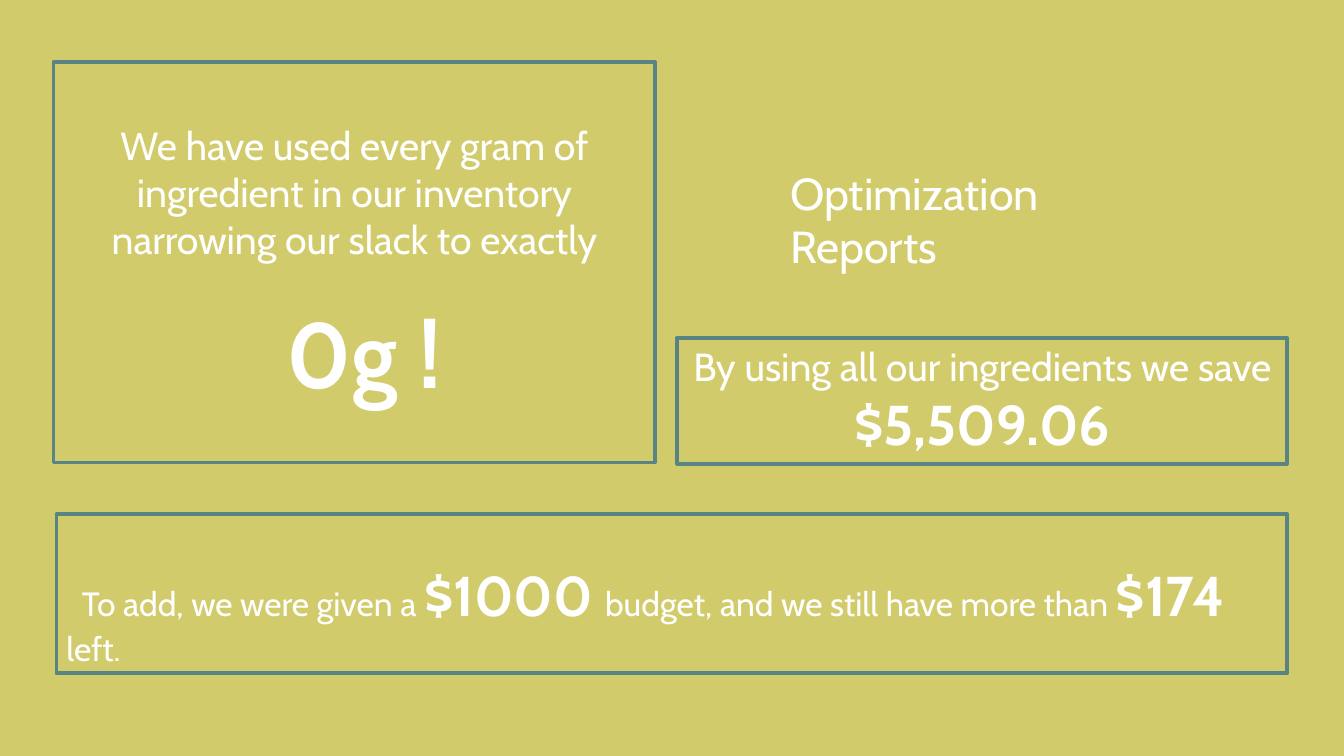
from pptx import Presentation
from pptx.dml.color import RGBColor
from pptx.enum import shapes, text
from pptx.util import Pt

COLORS = {"background": "D2CB6C", "border": "588484", "text": "FFFFFF"}
FONT = "Cabin"
LEFT, CENTER = text.PP_ALIGN.LEFT, text.PP_ALIGN.CENTER

BUDGET = [
    {"align": LEFT, "indent": 11, "spans": [
        ("To add, we were given a ", 24, False),
        ("$1000 ", 40, True),
        ("budget, and we still have more than ", 24, False),
        ("$174 ", 40, True),
        ("left.", 24, False),
    ]},
]
SLACK = [
    {"align": CENTER, "spans": [
        ("We have used every gram of ingredient in our inventory "
         "narrowing our slack to exactly", 28, False),
    ]},
    {"align": CENTER, "before": 24, "margin": 14, "spans": [("0g !", 66, True)]},
]
TITLE = [{"align": LEFT, "spans": [("Optimization Reports", 32, False)]}]
SAVINGS = [
    {"align": CENTER, "spans": [
        ("By using all our ingredients we save ", 28, False),
        ("$5,509.06", 40, True),
    ]},
]

PANELS = [
    {"at": (40.3, 367.2, 879.1, 113.8), "top": 33, "content": BUDGET},
    {"at": (38.2, 44.6, 429.8, 285.8), "top": 42, "content": SLACK},
    {"at": (557.3, 114.5, 301, 46.1), "right": 36, "content": TITLE, "plain": True},
    {"at": (483.8, 241.2, 435.6, 90), "content": SAVINGS},
]


def rgb(name):
    return RGBColor.from_string(COLORS[name])


def add_panel(page, panel):
    place = [Pt(length) for length in panel["at"]]
    if panel.get("plain"):
        return page.shapes.add_textbox(*place)
    box = page.shapes.add_shape(shapes.MSO_SHAPE.RECTANGLE, *place)
    box.shadow.inherit = False
    box.fill.background()
    box.line.color.rgb = rgb("border")
    box.line.width = Pt(2.75)
    return box


def write(box, panel):
    frame = box.text_frame
    frame.word_wrap = True
    frame.vertical_anchor = text.MSO_ANCHOR.TOP
    frame.margin_top = Pt(panel.get("top", 3.6))
    frame.margin_right = Pt(panel.get("right", 7.2))
    for index, entry in enumerate(panel["content"]):
        para = frame.add_paragraph() if index else frame.paragraphs[0]
        para.alignment = entry["align"]
        properties = para._p.get_or_add_pPr()
        properties.set("marL", str(Pt(entry.get("margin", 0))))
        properties.set("indent", str(Pt(entry.get("indent", 0))))
        if "before" in entry:
            para.space_before = Pt(entry["before"])
        para.font.name = FONT
        para.font.color.rgb = rgb("text")
        for words, size, bold in entry["spans"]:
            span = para.add_run()
            span.text = words
            span.font.size = Pt(size)
            span.font.bold = bold
            span.font.name = FONT
            span.font.color.rgb = rgb("text")


def main():
    deck = Presentation()
    deck.slide_width, deck.slide_height = Pt(960), Pt(540)
    page = deck.slides.add_slide(deck.slide_layouts[6])
    page.background.fill.solid()
    page.background.fill.fore_color.rgb = rgb("background")
    for panel in PANELS:
        write(add_panel(page, panel), panel)
    deck.save("out.pptx")


if __name__ == "__main__":
    main()
